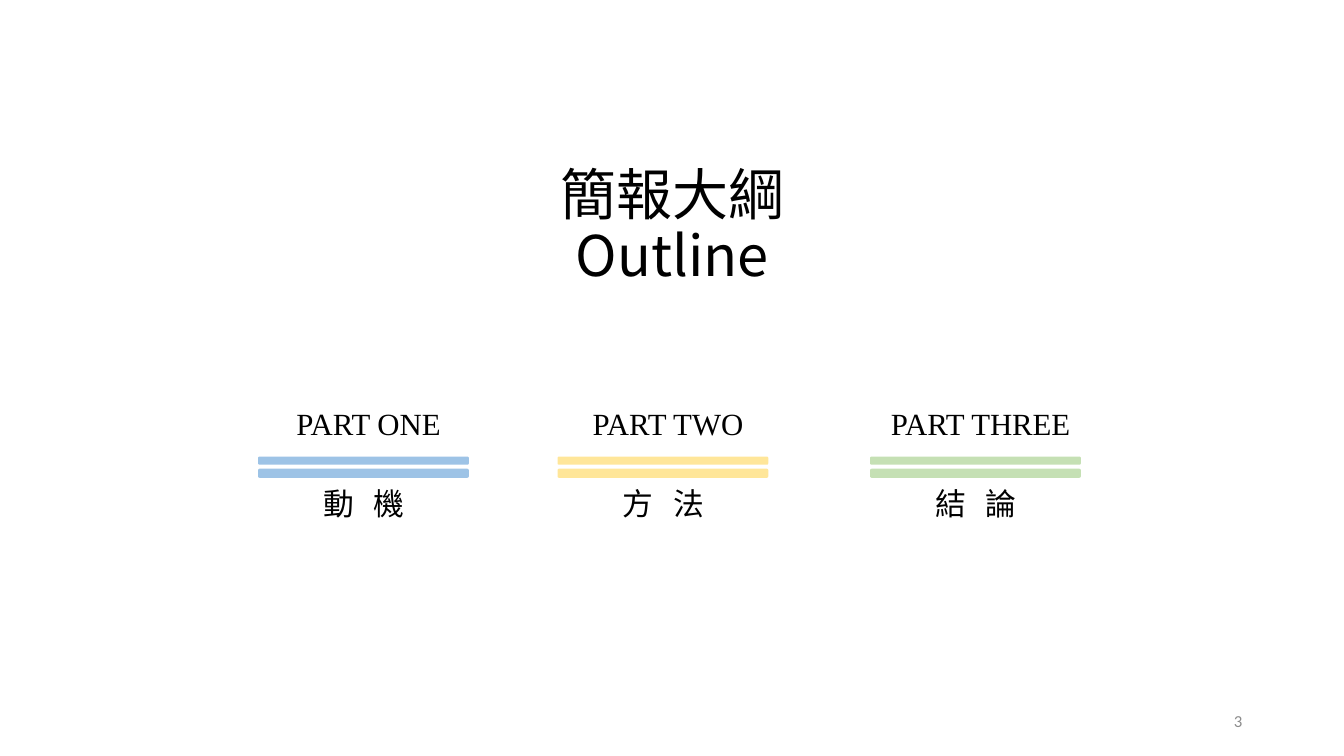
from lxml import etree
from pptx import Presentation
from pptx.dml.color import RGBColor
from pptx.enum import shapes, text
from pptx.oxml import ns
from pptx.util import Inches, Pt

BLACK = RGBColor(0x00, 0x00, 0x00)
GRAY = RGBColor(0x8C, 0x8C, 0x8C)
BLUE = RGBColor(0x9D, 0xC3, 0xE6)
YELLOW = RGBColor(0xFF, 0xE6, 0x99)
GREEN = RGBColor(0xC5, 0xE0, 0xB4)

CJK = "Noto Sans CJK SC"
LATIN = "Times New Roman"

PART_TOP, PART_WIDTH = 3.97, 2.09
PARTS = [
    (2.56, "PART ONE", "動\t機", BLUE),
    (5.53, "PART TWO", "方\t法", YELLOW),
    (8.63, "PART THREE", "結\t論", GREEN),
]


def add_text(parent, box, words, font, size, color=BLACK,
             align=text.PP_ALIGN.CENTER, anchor=text.MSO_ANCHOR.TOP):
    """Add a wrapped one-paragraph text box and return its paragraph."""
    frame = parent.add_textbox(*map(Inches, box)).text_frame
    frame.word_wrap = True
    frame.vertical_anchor = anchor
    paragraph = frame.paragraphs[0]
    paragraph.text = words
    paragraph.alignment = align
    for run in paragraph.runs:
        for name, value in {"name": font, "size": Pt(size)}.items():
            setattr(run.font, name, value)
        run.font.color.rgb = color
        east_asian = etree.SubElement(run.font._element, ns.qn("a:ea"))
        east_asian.set("typeface", font)
    return paragraph


def add_title(slide, left, top, width, height):
    title = add_text(slide.shapes, (left, top, width, height),
                     "簡報大綱\vOutline", CJK, 40,
                     anchor=text.MSO_ANCHOR.BOTTOM)
    title.line_spacing = 0.9


def add_part(slide, left, top, width, label, topic, color):
    """Group a label, a double bar and a topic below one another."""
    part = slide.shapes.add_group_shape().shapes
    for offset, height in ((0.56, 0.08), (0.68, 0.09)):
        bar = part.add_shape(
            shapes.MSO_SHAPE.ROUNDED_RECTANGLE,
            *map(Inches, (left, top + offset, width, height)))
        bar.shadow.inherit = False
        bar.fill.solid()
        bar.fill.fore_color.rgb = color
        bar.line.fill.background()
    add_text(part, (left, top, width + 0.1, 0.47), label, LATIN, 22)
    add_text(part, (left + 0.02, top + 0.79, width - 0.03, 0.47),
             topic, CJK, 22)


def add_page_number(slide, left, top, width, height):
    add_text(slide.shapes, (left, top, width, height), "3", "Calibri", 12,
             GRAY, text.PP_ALIGN.RIGHT, text.MSO_ANCHOR.MIDDLE)


def main():
    deck = Presentation()
    deck.slide_width, deck.slide_height = Inches(13.33), Inches(7.5)
    slide = deck.slides.add_slide(deck.slide_layouts[6])
    add_title(slide, 1.67, 1.54, 10, 1.37)
    for left, label, topic, color in PARTS:
        add_part(slide, left, PART_TOP, PART_WIDTH, label, topic, color)
    add_page_number(slide, 9.42, 6.95, 3, 0.4)
    deck.save("out.pptx")


if __name__ == "__main__":
    main()
